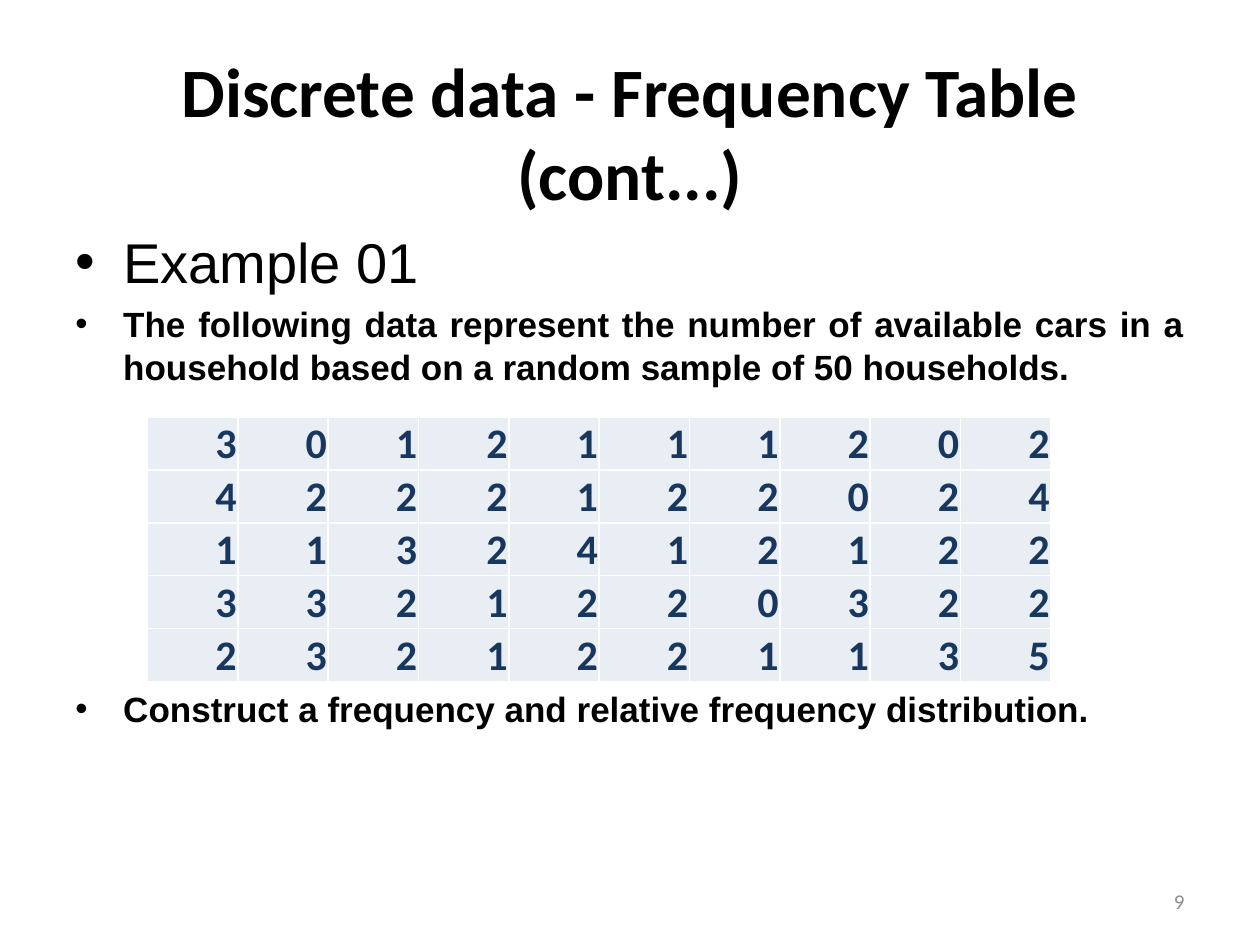
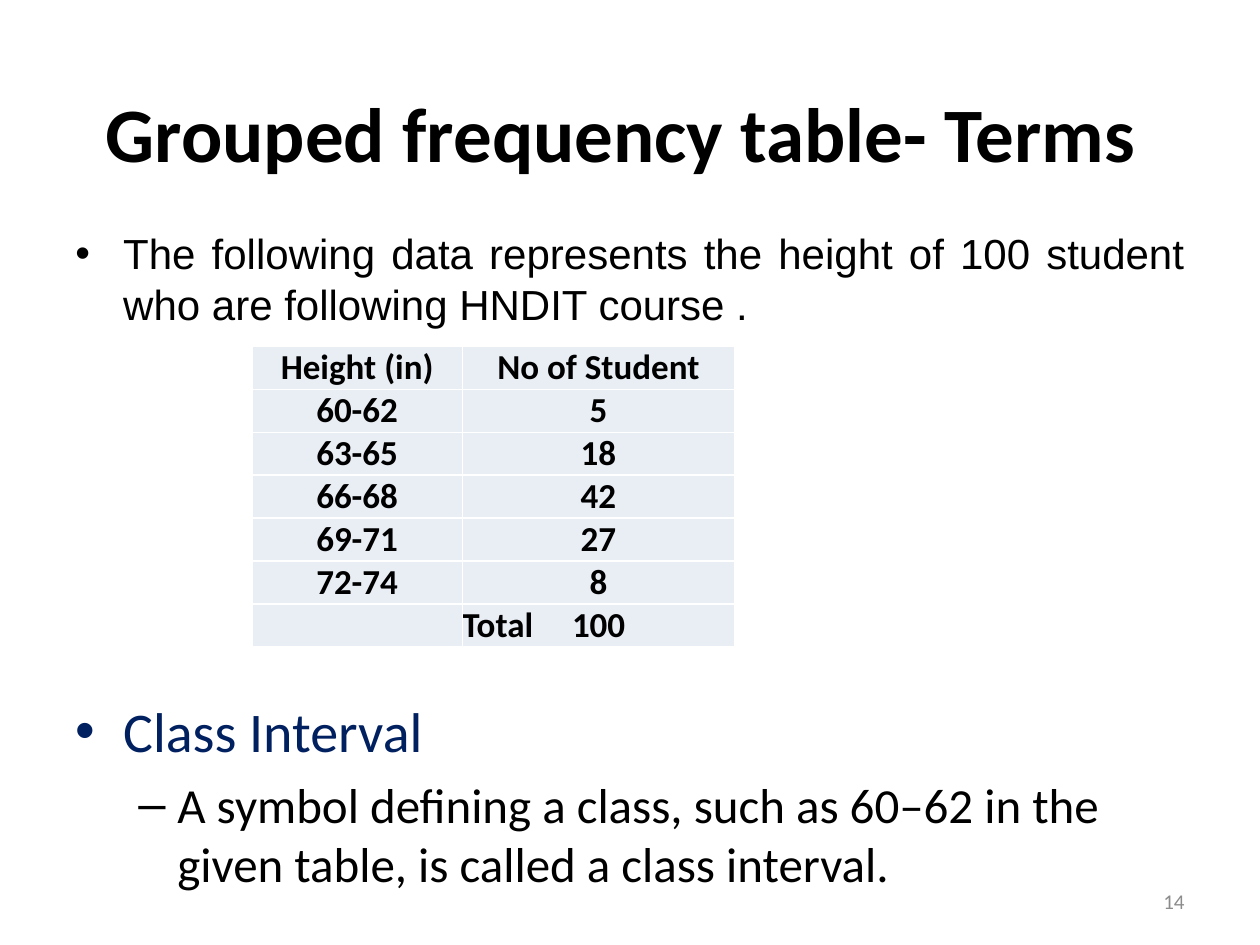
from lxml import etree
from pptx import Presentation
from pptx.dml.color import RGBColor
from pptx.enum.text import MSO_ANCHOR as ANCHOR, MSO_AUTO_SIZE as AUTO, PP_ALIGN as ALIGN
from pptx.oxml import parse_xml
from pptx.oxml.ns import nsdecls, qn
from pptx.util import Inches, Pt

BLACK = RGBColor(0x00, 0x00, 0x00)
NAVY = RGBColor(0x00, 0x20, 0x60)
STEEL = RGBColor(0x17, 0x37, 0x5E)
GREY = RGBColor(0x8C, 0x8C, 0x8C)
CELL = RGBColor(0xE9, 0xED, 0xF4)
HEAD_FONT = "Calibri"
BODY_FONT = "Arial"
TITLE_BOX = (0.5, 0.42, 9, 1.25)
NUMBER_BOX = (7.17, 6.95, 2.33, 0.4)
LINE_RATIO = 1.22
INDENTS = [(0.38, -0.38, "•"), (0.81, -0.31, "–")]

CARS = ["3012111202", "4222122024", "1132412122", "3321220322", "2321221135"]
HEIGHTS = [
    ("Height (in)", "No of Student"),
    ("60-62", "5"),
    ("63-65", "18"),
    ("66-68", "42"),
    ("69-71", "27"),
    ("72-74", "8"),
    ("", "Total\t100"),
]


def add_run(p, text, size, color=BLACK, font=HEAD_FONT, bold=False):
    """Append one formatted run to a paragraph."""
    r = p.add_run()
    r.text = text
    r.font.name, r.font.size, r.font.bold = font, Pt(size), bold
    r.font.color.rgb = color


def add_text_box(slide, box):
    """Add a wrapping text box and return its text frame."""
    tf = slide.shapes.add_textbox(*map(Inches, box)).text_frame
    tf.word_wrap = True
    tf.auto_size = AUTO.NONE
    return tf


def add_base_slide(prs, title, size, number):
    """Add a slide with its title and slide number."""
    slide = prs.slides.add_slide(prs.slide_layouts[5])
    sp = slide.shapes.title
    sp.left, sp.top, sp.width, sp.height = map(Inches, TITLE_BOX)
    tf = sp.text_frame
    tf.word_wrap = True
    tf.auto_size = AUTO.NONE
    tf.vertical_anchor = ANCHOR.MIDDLE
    p = tf.paragraphs[0]
    p.alignment = ALIGN.CENTER
    add_run(p, title, size, bold=True)

    tf = add_text_box(slide, NUMBER_BOX)
    tf.vertical_anchor = ANCHOR.MIDDLE
    p = tf.paragraphs[0]
    p.alignment = ALIGN.RIGHT
    add_run(p, str(number), 12, GREY)
    return slide


def add_bullet(tf, text, size, before=None, level=0, align=ALIGN.LEFT, **style):
    """Add a bulleted paragraph; the space before it defaults to a fifth of its size."""
    p = tf.paragraphs[0]
    if p.runs:
        p = tf.add_paragraph()
    p.level, p.alignment = level, align
    p.line_spacing = Pt(size * LINE_RATIO)
    p.space_before = Pt(size / 5 if before is None else before)
    margin, indent, mark = INDENTS[level]
    pPr = p._p.get_or_add_pPr()
    pPr.set("marL", str(Inches(margin)))
    pPr.set("indent", str(Inches(indent)))
    etree.SubElement(pPr, qn("a:buFont")).set("typeface", BODY_FONT)
    etree.SubElement(pPr, qn("a:buChar")).set("char", mark)
    add_run(p, text, size, **style)


def set_borders(cell):
    """Draw thin white lines on all four sides of a cell."""
    tcPr = cell._tc.get_or_add_tcPr()
    for i, side in enumerate(("lnL", "lnR", "lnT", "lnB")):
        tcPr.insert(i, parse_xml(
            f'<a:{side} {nsdecls("a")} w="12700"><a:solidFill>'
            f'<a:srgbClr val="FFFFFF"/></a:solidFill></a:{side}>'))


def add_tab_stop(p, position):
    """Left-align a paragraph and give it one tab stop."""
    p.alignment = ALIGN.LEFT
    tabs = etree.SubElement(p._p.get_or_add_pPr(), qn("a:tabLst"))
    tab = etree.SubElement(tabs, qn("a:tab"))
    tab.set("pos", str(Inches(position)))
    tab.set("algn", "l")


def add_data_table(slide, left, top, widths, row_height, rows, size, color, align, inset=0):
    """Add a table of bold values on a pale fill."""
    table = slide.shapes.add_table(
        len(rows), len(widths), Inches(left), Inches(top),
        Inches(sum(widths)), Inches(row_height * len(rows))).table
    table.first_row = table.horz_banding = False
    for column, width in zip(table.columns, widths):
        column.width = Inches(width)
    for row, values in zip(table.rows, rows):
        row.height = Inches(row_height)
        for cell, value in zip(row.cells, values):
            cell.fill.solid()
            cell.fill.fore_color.rgb = CELL
            set_borders(cell)
            cell.vertical_anchor = ANCHOR.BOTTOM
            cell.margin_left = cell.margin_right = cell.margin_top = Inches(inset)
            cell.margin_bottom = 0
            p = cell.text_frame.paragraphs[0]
            p.alignment = align
            if value:
                add_run(p, value, size, color, bold=True)
    return table


def build_cars_slide(prs):
    """Build the example with the number of cars per household."""
    slide = add_base_slide(prs, "Discrete data - Frequency Table (cont...)", 39.6, 9)
    tf = add_text_box(slide, (0.5, 1.75, 9, 4.95))
    add_bullet(tf, "Example 01", 32, font=BODY_FONT)
    add_bullet(tf, "The following data represent the number of available cars in a "
               "household based on a random sample of 50 households. ", 20,
               align=ALIGN.JUSTIFY, font=BODY_FONT, bold=True)
    add_bullet(tf, "Construct a frequency and relative frequency distribution.", 20,
               before=171, align=ALIGN.JUSTIFY, font=BODY_FONT, bold=True)
    add_data_table(slide, 1.17, 3.31, [7.17 / 10] * 10, 0.42, CARS, 24, STEEL,
                   ALIGN.RIGHT, inset=0.01)


def build_heights_slide(prs):
    """Build the grouped table of heights and the class interval term."""
    slide = add_base_slide(prs, "Grouped frequency table- Terms ", 44, 14)
    tf = add_text_box(slide, (0.5, 1.75, 9, 5.42))
    add_bullet(tf, "The following data represents the height of 100 student who are "
               "following HNDIT course .", 24, align=ALIGN.JUSTIFY, font=BODY_FONT)
    add_bullet(tf, "Class Interval", 32, before=209, color=NAVY)
    add_bullet(tf, "A symbol defining a class, such as 60–62 in the given table, "
               "is called a class interval.", 28, level=1)
    table = add_data_table(slide, 2, 2.75, [1.67, 2.16], 0.34, HEIGHTS, 20, BLACK,
                           ALIGN.CENTER)
    add_tab_stop(table.cell(len(HEIGHTS) - 1, 1).text_frame.paragraphs[0], 0.87)


def main():
    """Build both slides and save the file."""
    prs = Presentation()
    prs.slide_width, prs.slide_height = Inches(10), Inches(7.5)
    build_cars_slide(prs)
    build_heights_slide(prs)
    prs.save("out.pptx")


if __name__ == "__main__":
    main()
